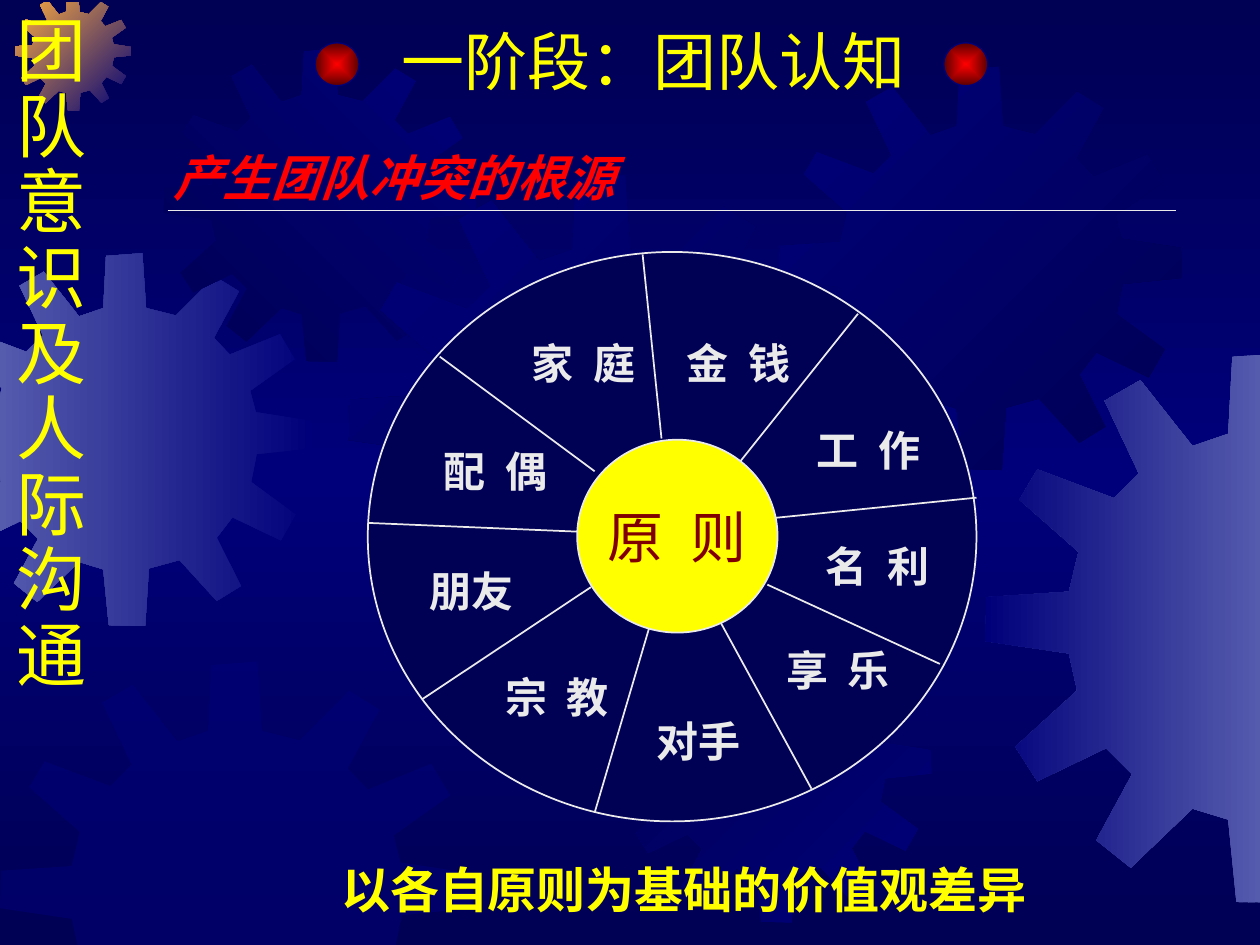
from lxml import etree
from pptx import Presentation
from pptx.dml.color import RGBColor
from pptx.enum.shapes import MSO_CONNECTOR, MSO_SHAPE
from pptx.enum.text import MSO_ANCHOR, MSO_AUTO_SIZE, PP_ALIGN
from pptx.oxml.ns import qn
from pptx.util import Pt

LINE, OVAL = MSO_CONNECTOR.STRAIGHT, MSO_SHAPE.OVAL
TOP, MID = MSO_ANCHOR.TOP, MSO_ANCHOR.MIDDLE
LEFT, MIDDLE = PP_ALIGN.LEFT, PP_ALIGN.CENTER
FIXED = MSO_AUTO_SIZE.NONE

NAVY = RGBColor(0x00, 0x00, 0x54)
BLUE = RGBColor(0x00, 0x00, 0x7A)
LILAC = RGBColor(0x55, 0x5B, 0xAD)
AMBER = RGBColor(0xFC, 0xAB, 0x40)
RED = RGBColor(0xFF, 0x00, 0x00)
WINE = RGBColor(0x5B, 0x00, 0x00)
MAROON = RGBColor(0x80, 0x00, 0x00)
GOLD = RGBColor(0xFF, 0xFF, 0x00)
PALE = RGBColor(0xEA, 0xEA, 0xEA)

# Outline of a twelve-tooth gear on a grid of 401 units
SPAN = 401
TEETH = [
    (255, 67), (223, 59), (219, 0), (180, 3), (177, 59), (151, 68),
    (113, 20), (87, 35), (112, 88), (94, 106), (38, 85), (25, 107),
    (68, 145), (61, 174), (1, 178), (0, 210), (61, 219), (67, 246),
    (22, 287), (38, 312), (88, 288), (107, 307), (81, 355), (106, 375),
    (151, 332), (177, 340), (183, 400), (222, 401), (226, 339), (259, 330),
    (299, 374), (325, 358), (299, 306), (316, 284), (368, 309), (384, 281),
    (336, 246), (342, 216), (401, 210), (400, 180), (341, 171), (335, 148),
    (383, 114), (367, 87), (313, 109), (296, 91), (323, 41), (297, 25),
]
# Axis, limit and kept side of each edge that cuts the gears
EDGES = [(0, -0.7, 1), (0, 720.7, -1), (1, 1.4, 1), (1, 542.9, -1)]

# Left, top, size, colours from start to end, angle
GEARS = [
    (-35, 144.7, 213.1, (BLUE, LILAC), 180),
    (8.6, -2.9, 66.2, (BLUE, AMBER), 225),
    (93.6, 28.1, 178.6, (BLUE, NAVY), 135),
    (199.4, 100.1, 289, (NAVY, BLUE), 225),
    (0, 378, 269.3, None, 0),
    (353.5, 348.5, 178.6, (BLUE, NAVY), 225),
    (445, 38.2, 230.4, (NAVY, BLUE), 225),
    (563, 201.6, 314.6, (LILAC, BLUE), 180),
]
SPOKES = [
    (392.4, 301, 558, 284.4), (438.5, 334.1, 537.1, 379.4),
    (411.8, 355.7, 463.7, 450.7), (370.8, 359.3, 339.8, 464.4),
    (337.7, 335.5, 241.2, 399.6), (329.8, 303.8, 210.2, 298.8),
    (339.8, 269.3, 251.3, 203.8), (378, 250.6, 367.2, 145.4),
    (422.6, 264.2, 490.3, 179.3),
]
LABELS = [
    ("配 偶", 246.2, 251.3), ("工 作", 459.4, 239), ("名 利", 464.4, 305.3),
    ("享 乐", 442.1, 365), ("对手", 367.9, 405.4), ("朋友", 238.3, 319.7),
    ("金 钱", 385.2, 189.4), ("家 庭", 296.6, 189.4), ("宗 教", 281.5, 380.2),
]

HEAD = {"name": "Arial Narrow", "size": Pt(36), "bold": False}
SIDE = {"name": "Arial Narrow", "size": Pt(40)}
TOPIC = {"name": "Noto Sans CJK SC", "size": Pt(28), "bold": True, "italic": True}
CLOSE = {"name": "Arial Narrow", "size": Pt(28), "bold": True}
LABEL = {"name": "Times New Roman", "size": Pt(24), "bold": True}
CORE = {"name": "Times New Roman", "size": Pt(32)}


def shade(fill, owner, tones, angle=None):
    """Spread tones evenly along an angle, or from the centre outwards."""
    fill.gradient()
    grad = owner.find(".//" + qn("a:gradFill"))
    for child in list(grad):
        grad.remove(child)
    stops = etree.SubElement(grad, qn("a:gsLst"))
    for i, tone in enumerate(tones):
        stop = etree.SubElement(stops, qn("a:gs"), pos=str(100000 * i // (len(tones) - 1)))
        etree.SubElement(stop, qn("a:srgbClr"), val=str(tone))
    if angle is None:
        way = etree.SubElement(grad, qn("a:path"), path="rect")
        half = dict.fromkeys("ltrb", "50000")
        etree.SubElement(way, qn("a:fillToRect"), half)
    else:
        etree.SubElement(grad, qn("a:lin"), ang=str(angle * 60000), scaled="0")


def clip(points, axis, limit, side):
    """Cut a closed outline at a straight edge."""
    kept = []
    for a, b in zip(points, points[1:] + points[:1]):
        da, db = side * (a[axis] - limit), side * (b[axis] - limit)
        if da >= 0:
            kept.append(a)
        if da * db < 0:
            t = da / (da - db)
            kept.append(tuple(p + t * (q - p) for p, q in zip(a, b)))
    return kept


def add_gear(shapes, left, top, size, tones, angle):
    points = [(left + x * size / SPAN, top + y * size / SPAN) for x, y in TEETH]
    for edge in EDGES:
        points = clip(points, *edge)
    points = [(Pt(x), Pt(y)) for x, y in points]
    draft = shapes.build_freeform(*points[0])
    draft.add_line_segments(points[1:], close=True)
    gear = draft.convert_to_shape()
    gear.shadow.inherit = False
    gear.line.fill.background()
    if tones:
        shade(gear.fill, gear._element.spPr, tones, angle)
    else:
        gear.fill.solid()
        gear.fill.fore_color.rgb = BLUE
        tint = gear._element.spPr.find(".//" + qn("a:srgbClr"))
        etree.SubElement(tint, qn("a:alpha"), val="50000")


def add_oval(shapes, box, edge, width, tone=None):
    oval = shapes.add_shape(OVAL, *map(Pt, box))
    oval.shadow.inherit = False
    oval.line.color.rgb = edge
    oval.line.width = Pt(width)
    if tone:
        oval.fill.solid()
        oval.fill.fore_color.rgb = tone
    else:
        shade(oval.fill, oval._element.spPr, (RED, WINE))
    return oval


def add_line(shapes, ends, width):
    line = shapes.add_connector(LINE, *map(Pt, ends))
    line.line.color.rgb = PALE
    line.line.width = Pt(width)
    etree.SubElement(line._element.spPr, qn("a:effectLst"))


def write(shape, lines, style, tone, align=LEFT, anchor=TOP, pitch=1):
    frame = shape.text_frame
    frame.word_wrap = False
    frame.auto_size = FIXED
    frame.vertical_anchor = anchor
    for i, words in enumerate(lines):
        para = frame.add_paragraph() if i else frame.paragraphs[0]
        para.alignment = align
        para.line_spacing = pitch
        run = para.add_run()
        run.text = words
        for key, value in style.items():
            setattr(run.font, key, value)
        run.font.color.rgb = tone
        if " " in words:
            # Spread letters by an eighth of the type size
            run._r.get_or_add_rPr().set("spc", str(round(style["size"].pt * 12.5)))


def add_text(shapes, box, lines, style, tone, **kind):
    write(shapes.add_textbox(*map(Pt, box)), lines, style, tone, **kind)


def add_title(shapes, box, words):
    title = shapes.title
    shapes._spTree.append(title._element)
    title.left, title.top, title.width, title.height = map(Pt, box)
    write(title, [words], HEAD, GOLD)


def add_wheel(shapes):
    add_oval(shapes, (210.2, 144, 347.8, 325.4), PALE, 1, NAVY)
    for ends in SPOKES:
        add_line(shapes, ends, 1)
    hub = add_oval(shapes, (329.8, 251.3, 114.5, 110.2), PALE, 1, GOLD)
    write(hub, ["原 则"], CORE, MAROON, align=MIDDLE, anchor=MID)
    for words, left, top in LABELS:
        width = 73.4 if " " in words else 61.9
        add_text(shapes, (left, top, width, 36), [words], LABEL, PALE)


def main():
    deck = Presentation()
    deck.slide_width, deck.slide_height = Pt(720), Pt(540)
    slide = deck.slides.add_slide(deck.slide_layouts[5])
    shapes = slide.shapes
    shade(slide.background.fill, slide._element, (NAVY, BLUE, NAVY), 90)
    for gear in GEARS:
        add_gear(shapes, *gear)
    add_text(shapes, (2.2, 5.8, 54, 396), "团队意识及人际沟通", SIDE, GOLD, pitch=0.9)
    for left in (180, 539.3):
        add_oval(shapes, (left, 24.5, 25.2, 24.5), BLUE, 0.75)
    add_title(shapes, (222.5, 9.4, 310, 50.4), "一阶段：团队认知")
    add_line(shapes, (95.8, 120.2, 671.8, 120.2), 0.75)
    add_text(shapes, (92.2, 80.6, 280, 41), ["产生团队冲突的根源"], TOPIC, RED)
    add_text(shapes, (187.9, 487.4, 405.4, 41), ["以各自原则为基础的价值观差异"], CLOSE, GOLD)
    add_wheel(shapes)
    deck.save("out.pptx")


if __name__ == "__main__":
    main()
